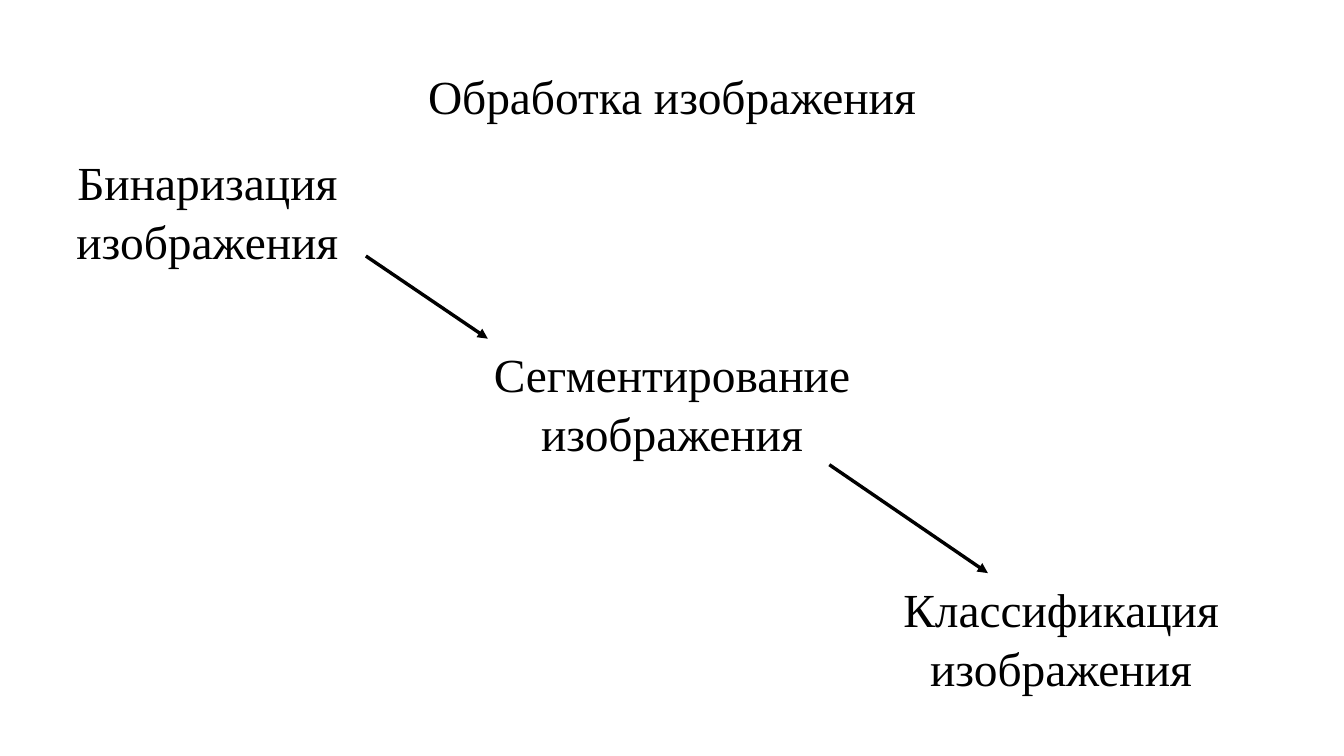
"""Build a slide showing the three stages of image processing."""
from dataclasses import dataclass

from lxml import etree
from pptx import Presentation
from pptx.dml.color import RGBColor
from pptx.enum import shapes, text
from pptx.oxml import ns
from pptx.util import Pt

SLIDE_SIZE = (793.44, 446.4)
BOX_HEIGHT = 75
TITLE = ("Обработка изображения", 39.6, 18, 714.2)
STAGES = [
    ("Бинаризация изображения", 21.6, 86.4, 201.6),
    ("Сегментирование изображения", 234, 200, 325.4),
    ("Классификация изображения", 468, 338.4, 316.8),
]
ARROWS = [
    (216, 151.2, 288, 200),
    (489.6, 274.4, 583.2, 338.4),
]


@dataclass(frozen=True)
class Theme:
    font: str = "Times New Roman"
    size: int = 28
    spacing: float = 1.04
    ink: RGBColor = RGBColor(0, 0, 0)
    line: int = 0


THEME = Theme()


def write_label(sp, label, left, top, width):
    sp.left, sp.top, sp.width, sp.height = map(Pt, (left, top, width, BOX_HEIGHT))
    tf = sp.text_frame
    tf.margin_left = tf.margin_top = tf.margin_right = tf.margin_bottom = 0
    tf.word_wrap = True
    tf.auto_size = text.MSO_AUTO_SIZE.NONE
    tf.vertical_anchor = text.MSO_ANCHOR.MIDDLE
    p = tf.paragraphs[0]
    p.text = label
    p.alignment = text.PP_ALIGN.CENTER
    p.line_spacing = THEME.spacing
    p.font.name = THEME.font
    p.font.size = Pt(THEME.size)
    p.font.color.rgb = THEME.ink


def add_arrow(slide, ends):
    sp = slide.shapes.add_connector(shapes.MSO_CONNECTOR.STRAIGHT, *map(Pt, ends))
    sp.line.color.rgb = THEME.ink
    sp.line.width = Pt(THEME.line)
    etree.SubElement(sp.line._get_or_add_ln(), ns.qn("a:tailEnd"), type="triangle")
    etree.SubElement(sp._element.spPr, ns.qn("a:effectLst"))


def main():
    prs = Presentation()
    prs.slide_width, prs.slide_height = map(Pt, SLIDE_SIZE)
    slide = prs.slides.add_slide(prs.slide_layouts.get_by_name("Title Only"))
    write_label(slide.shapes.title, *TITLE)
    for label, left, top, width in STAGES:
        sp = slide.shapes.add_textbox(0, 0, 0, 0)
        write_label(sp, label, left, top, width)
    for ends in ARROWS:
        add_arrow(slide, ends)
    prs.save("out.pptx")


if __name__ == "__main__":
    main()
